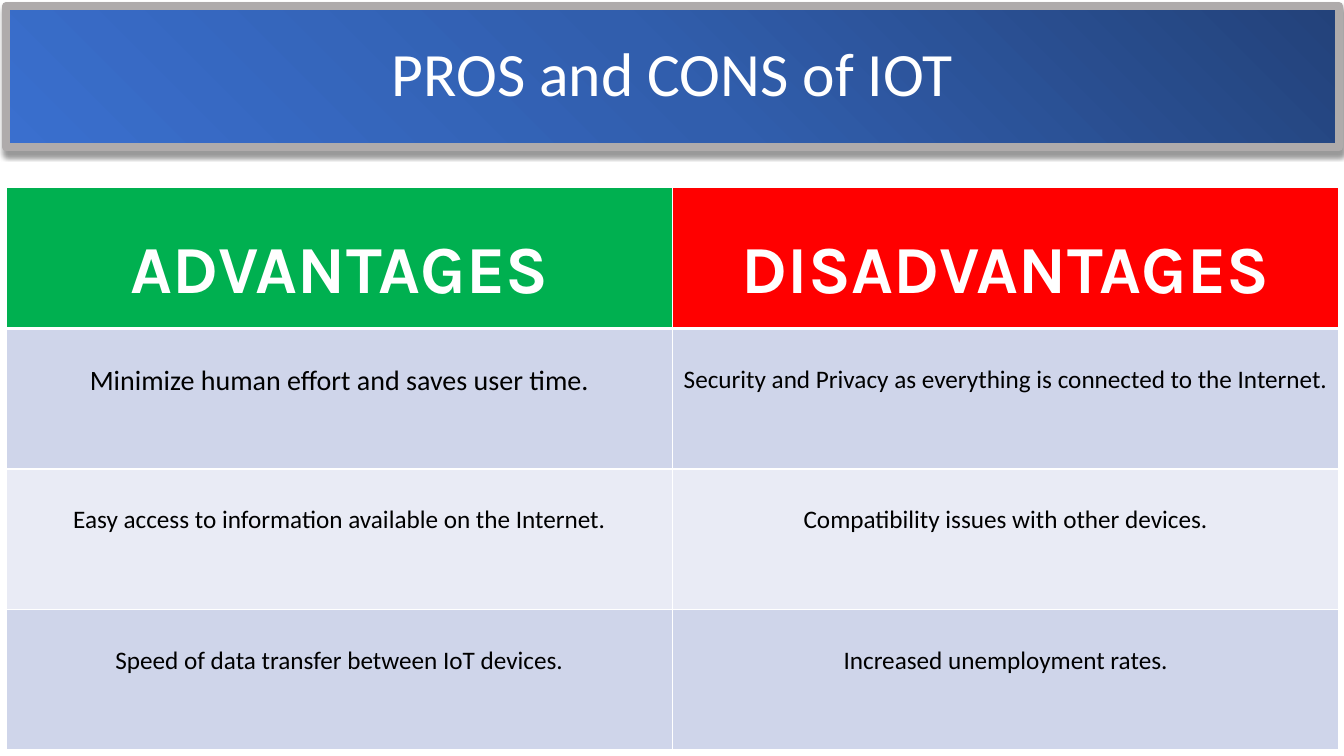
from pptx import Presentation
from pptx.dml.color import RGBColor
from pptx.enum.shapes import MSO_SHAPE as Shape
from pptx.enum.text import MSO_ANCHOR as Anchor, PP_ALIGN as Align
from pptx.oxml import parse_xml
from pptx.oxml.ns import nsdecls
from pptx.util import Pt

WHITE = RGBColor(0xFF, 0xFF, 0xFF)
BLACK = RGBColor(0x00, 0x00, 0x00)
GREY = RGBColor(0xAF, 0xAB, 0xAB)
GREEN = RGBColor(0x00, 0xB0, 0x50)
RED = RGBColor(0xFF, 0x00, 0x00)
BAND_DARK = RGBColor(0xCF, 0xD5, 0xEA)
BAND_LIGHT = RGBColor(0xE9, 0xEB, 0xF5)
BANNER_STOPS = [(0, RGBColor(0x23, 0x42, 0x7A)),
                (50, RGBColor(0x31, 0x5E, 0xAD)),
                (100, RGBColor(0x3A, 0x6F, 0xCE))]

LEFT, WIDTH = Pt(4.4), Pt(952)
ROW_HEIGHT = Pt(100.4)


def write(frame, text, font, size, color, bold, spacing):
    para = frame.paragraphs[0]
    para.alignment = Align.CENTER
    para.line_spacing = spacing
    span = para.add_run()
    span.text = text
    span.font.name = font
    span.font.size = Pt(size)
    span.font.bold = bold
    span.font.color.rgb = color


def set_borders(cell, top, bottom):
    sides = [("lnL", 1), ("lnR", 1), ("lnT", top), ("lnB", bottom)]
    for position, (side, width) in enumerate(sides):
        cell._tc.get_or_add_tcPr().insert(position, parse_xml(
            f'<a:{side} {nsdecls("a")} w="{Pt(width)}"><a:solidFill>'
            f'<a:srgbClr val="{WHITE}"/></a:solidFill></a:{side}>'))


deck = Presentation()
deck.slide_width, deck.slide_height = Pt(960), Pt(540)
page = deck.slides.add_slide(deck.slide_layouts[6])

# Title banner
banner = page.shapes.add_shape(Shape.RECTANGLE, LEFT, Pt(4.4), WIDTH, Pt(100.8))
banner.line.color.rgb = GREY
banner.line.width = Pt(6)
banner.text_frame.word_wrap = True
banner.text_frame.vertical_anchor = Anchor.MIDDLE
write(banner.text_frame, "PROS and CONS of IOT", "Calibri", 44, WHITE, False, 0.9)

# Banner gradient, spreading from the top right corner
stops = "".join(f'<a:gs pos="{place * 1000}"><a:srgbClr val="{color}"/></a:gs>'
                for place, color in BANNER_STOPS)
properties = banner._element.spPr
properties.insert(2, parse_xml(
    f'<a:gradFill {nsdecls("a")} rotWithShape="1"><a:gsLst>{stops}</a:gsLst>'
    '<a:path path="circle"><a:fillToRect l="100000" b="100000"/></a:path>'
    '</a:gradFill>'))

# Banner shadow
banner.shadow.inherit = False
properties[-1].append(parse_xml(
    f'<a:outerShdw {nsdecls("a")} blurRad="{Pt(4)}" dist="{Pt(3)}" dir="5400000" '
    f'algn="t" rotWithShape="0"><a:srgbClr val="{BLACK}"><a:alpha val="40000"/>'
    '</a:srgbClr></a:outerShdw>'))

# Comparison table
headings = [("ADVANTAGES", GREEN), ("DISADVANTAGES", RED)]
points = [
    [("Minimize human effort and saves user time.", 20),
     ("Security and Privacy as everything is connected to the Internet.", 18)],
    [("Easy access to information available on the Internet.", 18),
     ("Compatibility issues with other devices.", 18)],
    [("Speed of data transfer between IoT devices.", 18),
     ("Increased unemployment rates.", 18)],
]
table = page.shapes.add_table(len(points) + 1, len(headings), LEFT, Pt(134.2),
                              WIDTH, ROW_HEIGHT * 4).table
for row in table.rows:
    row.height = ROW_HEIGHT

for column, (heading, color) in enumerate(headings):
    cell = table.cell(0, column)
    cell.fill.solid()
    cell.fill.fore_color.rgb = color
    set_borders(cell, 1, 3)
    write(cell.text_frame, heading, "Karla", 48, WHITE, True, 1.5)

for number, pair in enumerate(points, start=1):
    for column, (point, size) in enumerate(pair):
        cell = table.cell(number, column)
        cell.fill.solid()
        cell.fill.fore_color.rgb = BAND_DARK if number % 2 else BAND_LIGHT
        cell.margin_top = Pt(25.6)
        set_borders(cell, 3 if number == 1 else 1, 1)
        write(cell.text_frame, point, "Calibri", size, BLACK, False, 1.0)

deck.save("out.pptx")
